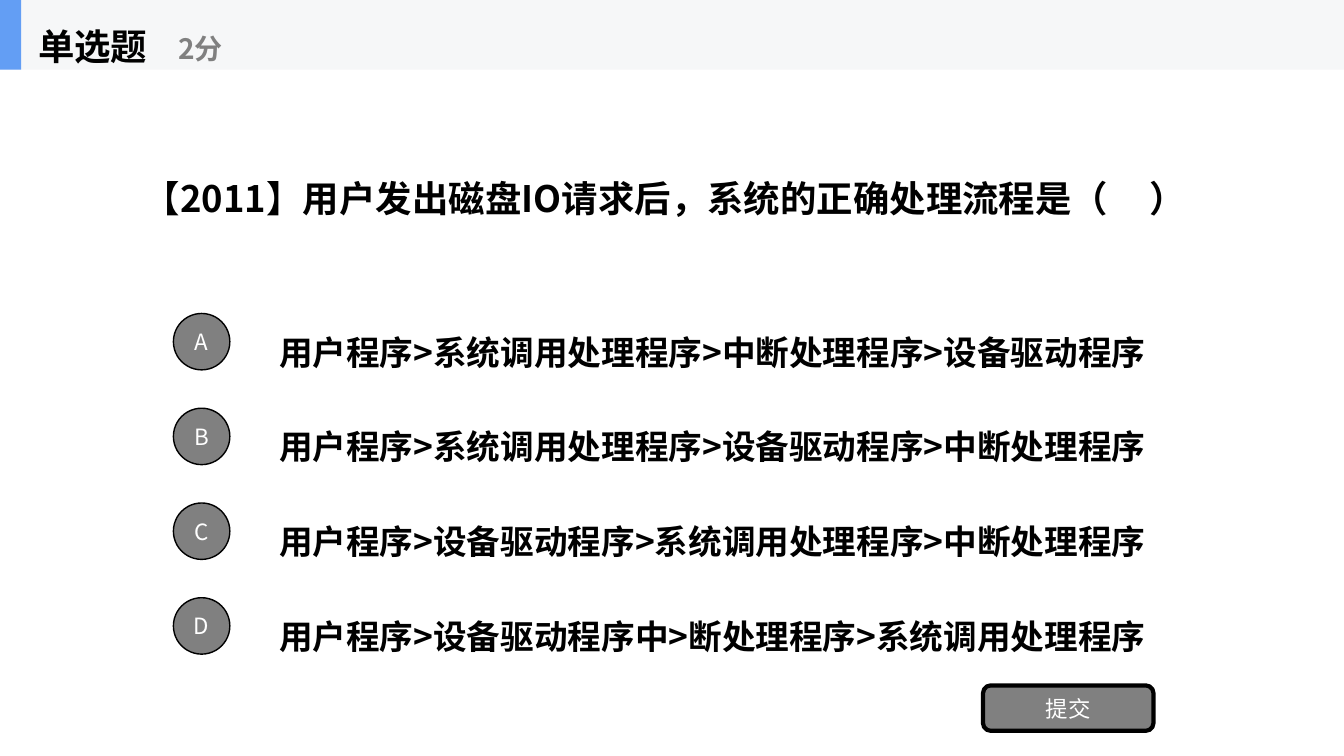
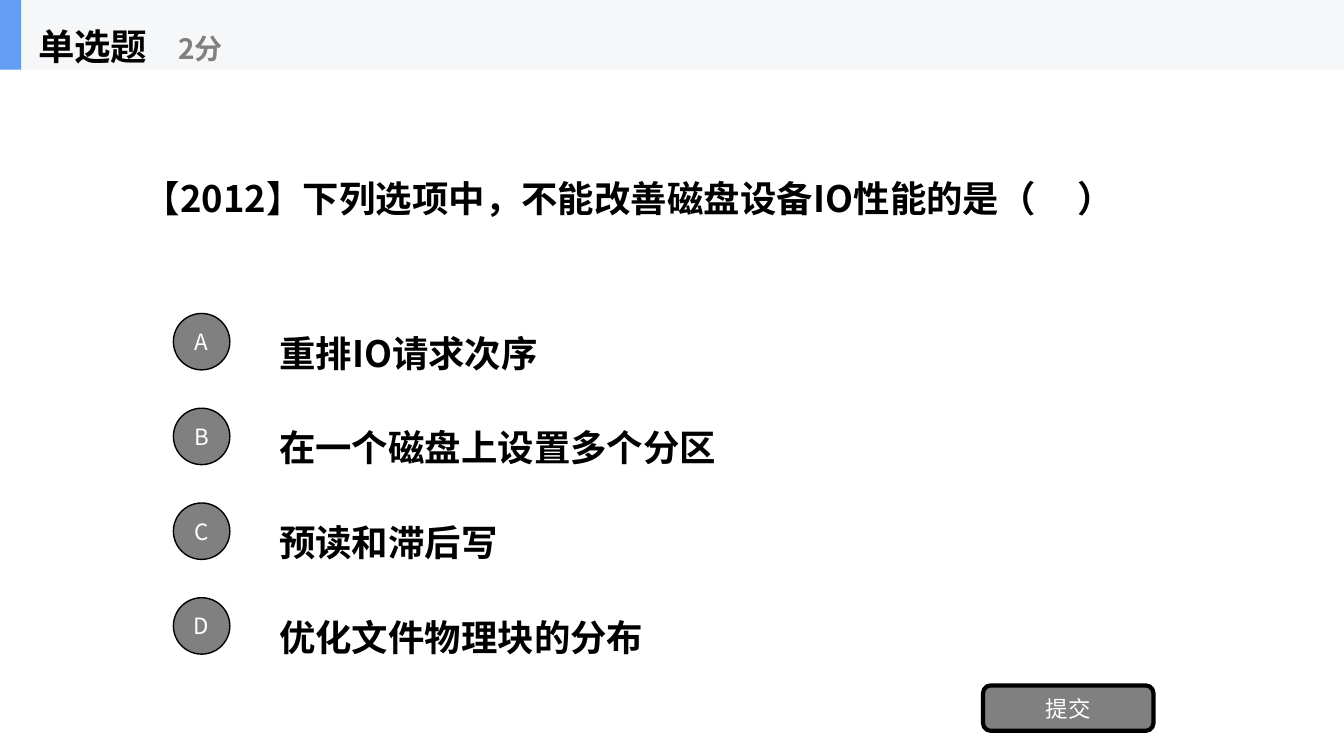
from lxml.etree import SubElement
from pptx import Presentation
from pptx.dml.color import RGBColor
from pptx.enum.shapes import MSO_SHAPE
from pptx.enum.text import MSO_ANCHOR, PP_ALIGN
from pptx.oxml.ns import qn
from pptx.util import Inches, Pt

FONT = "Noto Sans CJK SC"
BLACK = RGBColor(0x00, 0x00, 0x00)
WHITE = RGBColor(0xFF, 0xFF, 0xFF)
GRAY = RGBColor(0x80, 0x80, 0x80)
BAND = RGBColor(0xF6, 0xF7, 0xF8)
ACCENT = RGBColor(0x63, 0x9E, 0xF4)

SLIDE_W, SLIDE_H = 13.33, 7.5
BAND_H = 0.69
OPTION_TOP, OPTION_STEP, OPTION_H = 3.04, 0.94, 0.7
BADGE = 0.56

# Question, options, option text size
QUESTIONS = [
    ("【2011】用户发出磁盘IO请求后，系统的正确处理流程是（     ）",
     ["用户程序>系统调用处理程序>中断处理程序>设备驱动程序",
      "用户程序>系统调用处理程序>设备驱动程序>中断处理程序",
      "用户程序>设备驱动程序>系统调用处理程序>中断处理程序",
      "用户程序>设备驱动程序中>断处理程序>系统调用处理程序"], 24),
    ("【2012】下列选项中，不能改善磁盘设备IO性能的是（     ）",
     ["重排IO请求次序",
      "在一个磁盘上设置多个分区",
      "预读和滞后写",
      "优化文件物理块的分布"], 26),
]


def add_text(shapes, text, box, size, color=BLACK, wrap=True):
    """Add bold text with a hanging indent, centred vertically in box."""
    frame = shapes.add_textbox(*map(Inches, box)).text_frame
    frame.word_wrap = wrap
    frame.vertical_anchor = MSO_ANCHOR.MIDDLE
    paragraph = frame.paragraphs[0]
    paragraph.text = text
    paragraph.line_spacing = 1.5
    properties = paragraph._p.get_or_add_pPr()
    properties.set("marL", str(Inches(0.38)))
    properties.set("indent", str(Inches(-0.38)))
    font = paragraph.font
    font.name, font.size, font.bold = FONT, Pt(size), True
    font.color.rgb = color
    SubElement(properties.find(qn("a:defRPr")), qn("a:ea"), typeface=FONT)


def add_block(shapes, kind, box, fill, line_width=0, label=""):
    """Add a filled shape, outlined in black if line_width is given."""
    block = shapes.add_shape(kind, *map(Inches, box))
    block.shadow.inherit = False
    block.fill.solid()
    block.fill.fore_color.rgb = fill
    if line_width:
        block.line.color.rgb = BLACK
        block.line.width = Pt(line_width)
    else:
        block.line.fill.background()
    if label:
        block.text_frame.vertical_anchor = MSO_ANCHOR.MIDDLE
        paragraph = block.text_frame.paragraphs[0]
        paragraph.text = label
        paragraph.alignment = PP_ALIGN.CENTER
        font = paragraph.font
        font.name, font.size = FONT, Pt(16)
        font.color.rgb = WHITE
        SubElement(paragraph._p.pPr.find(qn("a:defRPr")), qn("a:ea"), typeface=FONT)


prs = Presentation()
prs.slide_width, prs.slide_height = Inches(SLIDE_W), Inches(SLIDE_H)

for question, options, option_size in QUESTIONS:
    shapes = prs.slides.add_slide(prs.slide_layouts[6]).shapes
    add_text(shapes, question, (1.33, BAND_H, 10.67, 2.34), 26)

    for row, (letter, option) in enumerate(zip("ABCD", options)):
        top = OPTION_TOP + row * OPTION_STEP
        add_text(shapes, option, (2.67, top, 9.33, OPTION_H), option_size)
        badge_top = top + (OPTION_H - BADGE) / 2
        add_block(shapes, MSO_SHAPE.OVAL, (1.72, badge_top, BADGE, BADGE), GRAY, 1, letter)

    add_block(shapes, MSO_SHAPE.ROUNDED_RECTANGLE, (9.75, 6.8, 1.69, 0.45), GRAY, 3, "提交")

    header = shapes.add_group_shape().shapes
    add_block(header, MSO_SHAPE.RECTANGLE, (0, 0, SLIDE_W, BAND_H), BAND)
    add_block(header, MSO_SHAPE.RECTANGLE, (0, 0, 0.21, BAND_H), ACCENT)
    add_text(header, "单选题", (0.28, 0, 2.08, BAND_H), 26, wrap=False)
    add_text(header, "2分", (1.67, 0.12, 2.5, 0.56), 20, GRAY, wrap=False)

prs.save("out.pptx")
